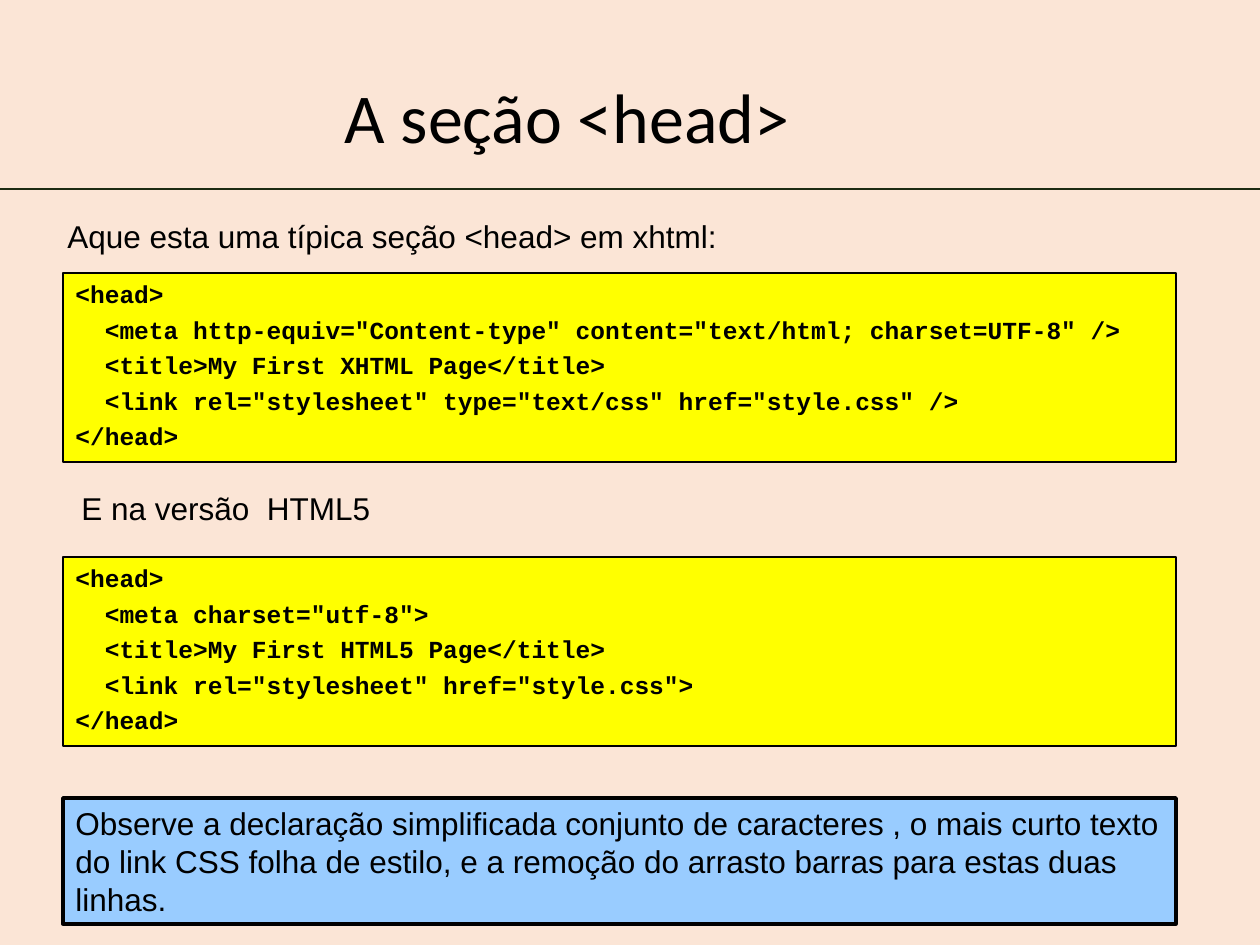
from lxml import etree
from pptx import Presentation
from pptx import util as u
from pptx.dml.color import RGBColor
from pptx.enum import shapes, text
from pptx.oxml.ns import qn

PX = u.Inches(1) / 126


def px(*lengths):
    return [round(length * PX) for length in lengths]


def write(box, lines, font, size, bold=False, align=text.PP_ALIGN.LEFT,
          spacing=1.0, gap=0, anchor=text.MSO_ANCHOR.TOP):
    """Fill a box with one paragraph per line, gap points apart."""
    frame = box.text_frame
    frame.word_wrap = True
    frame.vertical_anchor = anchor
    for i, line in enumerate(lines):
        paragraph = frame.add_paragraph() if i else frame.paragraphs[0]
        paragraph.alignment = align
        paragraph.line_spacing = spacing
        if i:
            paragraph.space_before = u.Pt(gap)
        run = paragraph.add_run()
        run.text = line
        run.font.name = font
        run.font.size = u.Pt(size)
        run.font.bold = bold
        run.font.color.rgb = RGBColor.from_string("000000")


deck = Presentation()
deck.slide_width, deck.slide_height = px(1260, 945)
slide = deck.slides.add_slide(deck.slide_layouts[6])
slide.background.fill.solid()
slide.background.fill.fore_color.rgb = RGBColor.from_string("FBE5D6")

title = slide.shapes.add_textbox(*px(0, 63, 1134, 116))
write(title, ["A seção <head>"], "Calibri", 40, align=text.PP_ALIGN.CENTER,
      spacing=0.9, anchor=text.MSO_ANCHOR.MIDDLE)

rule = slide.shapes.add_connector(shapes.MSO_CONNECTOR.STRAIGHT, *px(0, 189, 1260, 189))
rule.line.color.rgb = RGBColor.from_string("1C2B12")
rule.line.width = u.Pt(1.25)
etree.SubElement(rule._element.spPr, qn("a:effectLst"))

intros = [
    (55, 211, 690, "Aque esta uma típica seção <head> em xhtml:"),
    (69, 483, 323, "E na versão  HTML5"),
]
for left, top, width, words in intros:
    intro = slide.shapes.add_textbox(*px(left, top, width, 50))
    write(intro, [words], "Arial", 18)

xhtml = [
    '<head>',
    '  <meta http-equiv="Content-type" content="text/html; charset=UTF-8" />',
    '  <title>My First XHTML Page</title>',
    '  <link rel="stylesheet" type="text/css" href="style.css" />',
    '</head>',
]
html5 = [
    '<head>',
    '  <meta charset="utf-8">',
    '  <title>My First HTML5 Page</title>',
    '  <link rel="stylesheet" href="style.css">',
    '</head>',
]
remark = [
    "Observe a declaração simplificada conjunto de caracteres , o mais curto texto "
    "do link CSS folha de estilo, e a remoção do arrasto barras para estas duas linhas."
]
code_style = dict(font="Courier New", size=14, bold=True, gap=3.5)
remark_style = dict(font="Arial", size=18)
panels = [
    (273, 189, "FFFF00", 0.75, xhtml, code_style),
    (557, 189, "FFFF00", 0.75, html5, code_style),
    (798, 126, "99CCFF", 2, remark, remark_style),
]
for top, height, fill, border, lines, style in panels:
    panel = slide.shapes.add_shape(shapes.MSO_SHAPE.RECTANGLE, *px(63, top, 1113, height))
    panel.shadow.inherit = False
    panel.fill.solid()
    panel.fill.fore_color.rgb = RGBColor.from_string(fill)
    panel.line.color.rgb = RGBColor.from_string("000000")
    panel.line.width = u.Pt(border)
    write(panel, lines, **style)

deck.save("out.pptx")
